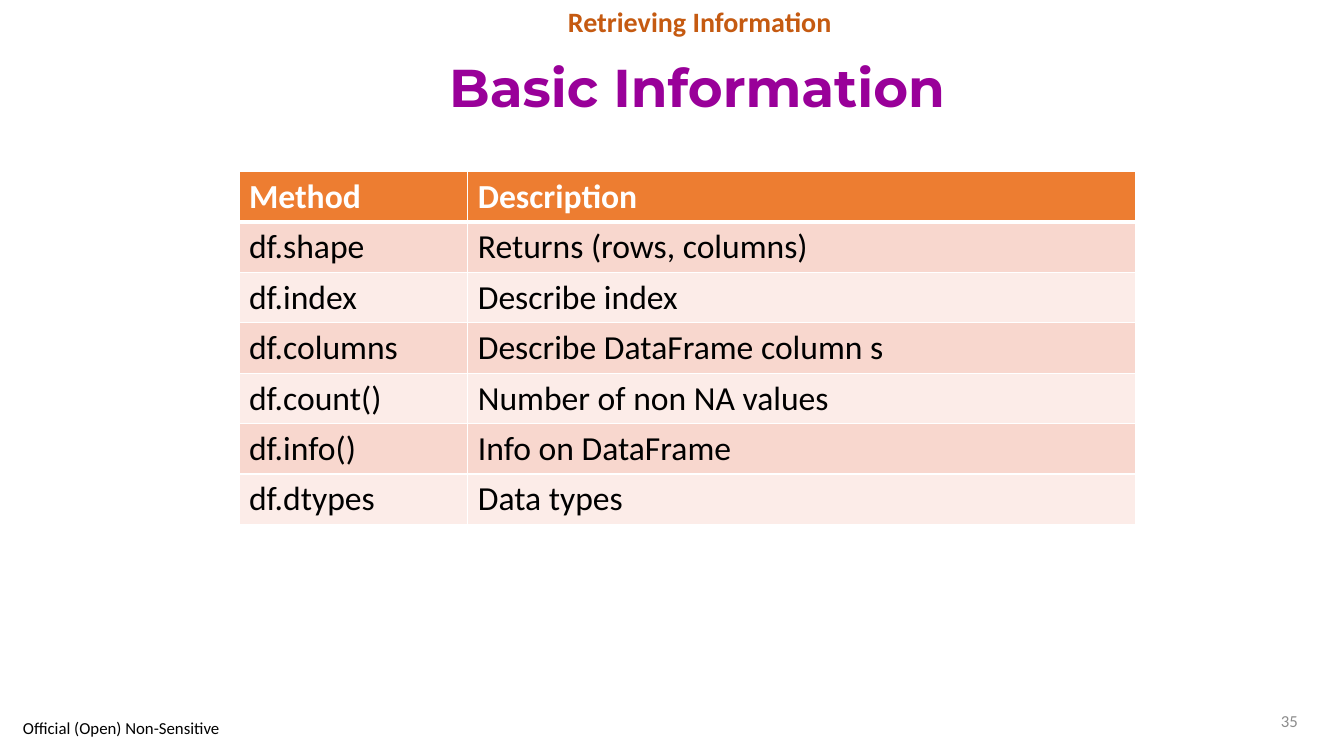
from lxml.etree import SubElement
from pptx import Presentation
from pptx.dml.color import RGBColor
from pptx.enum.text import MSO_ANCHOR as Anchor, PP_ALIGN as Align
from pptx.oxml.ns import qn
from pptx.util import Inches, Pt

PURPLE = RGBColor(0x99, 0x00, 0x99)
RUST = RGBColor(0xC5, 0x5A, 0x11)
ORANGE = RGBColor(0xED, 0x7D, 0x31)
PEACH = RGBColor(0xF8, 0xD7, 0xCE)
BLUSH = RGBColor(0xFC, 0xEC, 0xE8)
GRAY = RGBColor(0x8C, 0x8C, 0x8C)
BLACK = RGBColor(0x00, 0x00, 0x00)
WHITE = RGBColor(0xFF, 0xFF, 0xFF)

METHODS = [
    ("Method", "Description"),
    ("df.shape", "Returns (rows, columns)"),
    ("df.index", "Describe index"),
    ("df.columns", "Describe DataFrame column s"),
    ("df.count()", "Number of non NA values"),
    ("df.info()", "Info on DataFrame"),
    ("df.dtypes", "Data types"),
]
COLUMN_WIDTHS = (2.27, 6.62)
ROW_HEIGHT = 0.5


def write_text(text_frame, text, color, align=Align.LEFT, **font_format):
    """Write one formatted line into a text frame."""
    paragraph = text_frame.paragraphs[0]
    paragraph.alignment = align
    run = paragraph.add_run()
    run.text = text
    for name, value in ({"name": "Calibri", "bold": False} | font_format).items():
        setattr(run.font, name, value)
    run.font.color.rgb = color
    return paragraph


def add_label(slide, box, text, color, anchor=Anchor.MIDDLE, **text_format):
    """Add a wrapping text box with one line of text."""
    shape = slide.shapes.add_textbox(*map(Inches, box))
    shape.text_frame.word_wrap = True
    shape.text_frame.vertical_anchor = anchor
    return write_text(shape.text_frame, text, color, **text_format)


def add_borders(cell, bottom_width):
    """Draw white lines around a table cell."""
    properties = cell._tc.get_or_add_tcPr()
    widths = {"a:lnL": 1, "a:lnR": 1, "a:lnT": 1, "a:lnB": bottom_width}
    for position, (tag, width) in enumerate(widths.items()):
        line = SubElement(properties, qn(tag), w=str(Pt(width)))
        fill = SubElement(line, qn("a:solidFill"))
        SubElement(fill, qn("a:srgbClr"), val=str(WHITE))
        properties.insert(position, line)


def add_method_table(slide):
    """Add the table of methods with a header and alternating rows."""
    table = slide.shapes.add_table(
        len(METHODS), len(COLUMN_WIDTHS), Inches(2.37), Inches(1.7),
        Inches(sum(COLUMN_WIDTHS)), Inches(ROW_HEIGHT * len(METHODS)),
    ).table
    for column, width in zip(table.columns, COLUMN_WIDTHS):
        column.width = Inches(width)
    for row, texts in enumerate(METHODS):
        header = row == 0
        fill_color = ORANGE if header else (BLUSH, PEACH)[row % 2]
        for column, text in enumerate(texts):
            cell = table.cell(row, column)
            cell.fill.solid()
            cell.fill.fore_color.rgb = fill_color
            add_borders(cell, 3 if header else 1)
            write_text(cell.text_frame, text, WHITE if header else BLACK,
                       size=Pt(24), bold=header)


def main():
    """Build the slide and save it."""
    presentation = Presentation()
    presentation.slide_width = Inches(13.33)
    presentation.slide_height = Inches(7.5)
    slide = presentation.slides.add_slide(presentation.slide_layouts[6])
    title = add_label(slide, (0.87, 0.41, 12.09, 0.97), "Basic Information", PURPLE,
                      align=Align.CENTER, name="Montserrat", size=Pt(38), bold=True)
    title.line_spacing = 0.9
    add_label(slide, (2.62, 0, 8.64, 0.41), "Retrieving Information", RUST,
              anchor=Anchor.TOP, align=Align.CENTER, size=Pt(20), bold=True)
    add_method_table(slide)
    add_label(slide, (9.7, 6.95, 3.27, 0.4), "35", GRAY, align=Align.RIGHT, size=Pt(12))
    add_label(slide, (0.13, 7.09, 2.24, 0.26), "Official (Open) Non-Sensitive", BLACK,
              size=Pt(12))
    presentation.save("out.pptx")


if __name__ == "__main__":
    main()
